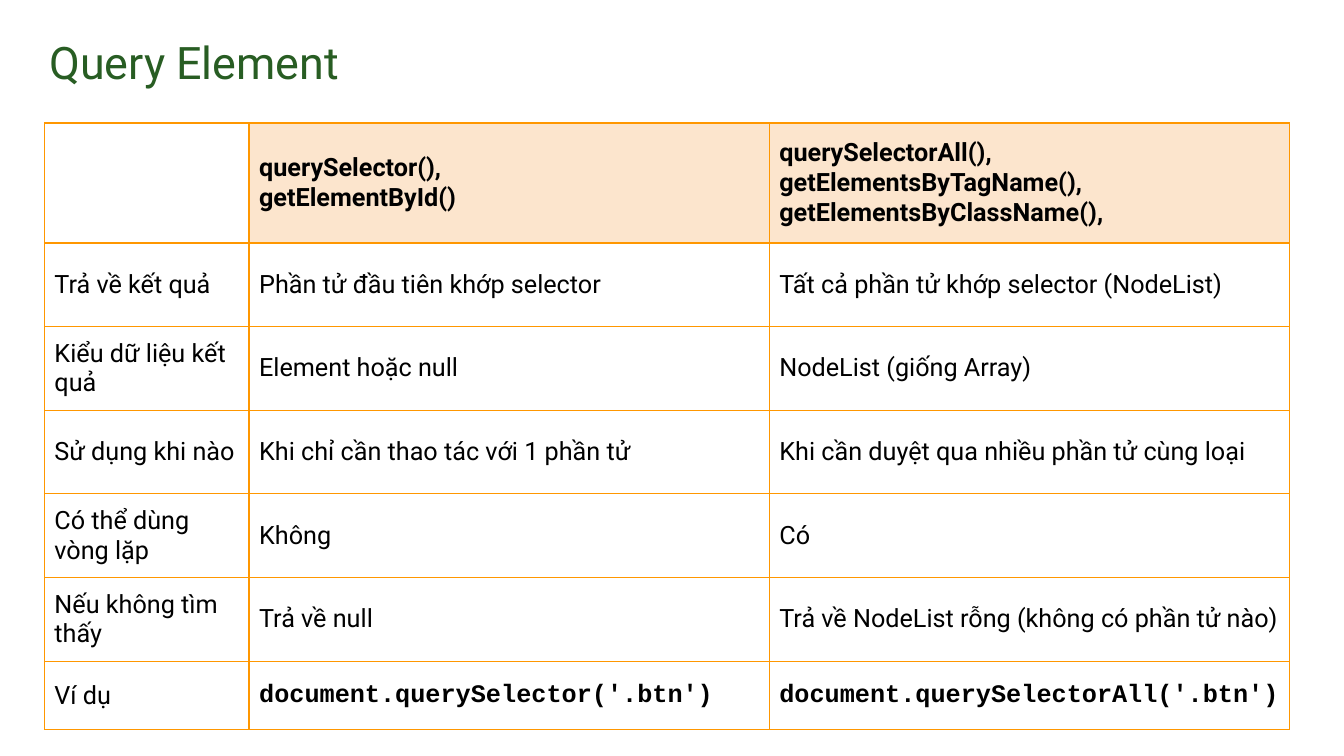
from dataclasses import dataclass

from lxml.etree import SubElement
from pptx import Presentation
from pptx.dml.color import RGBColor
from pptx.enum.text import MSO_ANCHOR, PP_ALIGN
from pptx.oxml.ns import qn
from pptx.slide import Slide
from pptx.table import _Cell
from pptx.text.text import TextFrame
from pptx.util import Inches, Pt

COLORS = {
    "title": "285D23",
    "text": "000000",
    "header": "FCE5CD",
    "blank": "FFFFFF",
    "border": "FF9700",
}
BODY_FONT = "Roboto"
CODE_FONT = "Courier New"
LEFT, TABLE_TOP = 0.44, 1.22
COLUMNS = [2.03, 5.16, 5.16]


@dataclass(frozen=True)
class Row:
    cells: tuple[str, str, str]
    height: float = 0.83
    font: str = BODY_FONT
    bold: bool = False
    fill: str = "blank"


ROWS = [
    Row(("", "querySelector(),\ngetElementById()",
         "querySelectorAll(),\ngetElementsByTagName(),\ngetElementsByClassName(),"),
        height=1.19, bold=True, fill="header"),
    Row(("Trả về kết quả", "Phần tử đầu tiên khớp selector",
         "Tất cả phần tử khớp selector (NodeList)")),
    Row(("Kiểu dữ liệu kết quả", "Element hoặc null", "NodeList (giống Array)")),
    Row(("Sử dụng khi nào", "Khi chỉ cần thao tác với 1 phần tử",
         "Khi cần duyệt qua nhiều phần tử cùng loại")),
    Row(("Có thể dùng vòng lặp", "Không", "Có")),
    Row(("Nếu không tìm thấy", "Trả về null",
         "Trả về NodeList rỗng (không có phần tử nào)")),
    Row(("Ví dụ", "document.querySelector('.btn')",
         "document.querySelectorAll('.btn')"),
        height=0.68, font=CODE_FONT, bold=True),
]


def rgb(name: str) -> RGBColor:
    return RGBColor.from_string(COLORS[name])


def format_runs(tf: TextFrame, size: int, color: str, font: str, bold: bool) -> None:
    for p in tf.paragraphs:
        for r in p.runs:
            r.font.size = Pt(size)
            r.font.name = font
            r.font.bold = bold
            r.font.color.rgb = rgb(color)


def add_borders(cell: _Cell) -> None:
    tc_pr = cell._tc.get_or_add_tcPr()
    for i, side in enumerate(("lnL", "lnR", "lnT", "lnB")):
        ln = tc_pr.makeelement(qn(f"a:{side}"), {"w": str(Pt(1))})
        fill = SubElement(ln, qn("a:solidFill"))
        SubElement(fill, qn("a:srgbClr"), val=COLORS["border"])
        tc_pr.insert(i, ln)


def add_title(s: Slide, text: str) -> None:
    sp = s.shapes.title
    sp.left, sp.top = Inches(LEFT), Inches(0.28)
    sp.width, sp.height = Inches(12), Inches(0.67)
    tf = sp.text_frame
    tf.text = text
    tf.vertical_anchor = MSO_ANCHOR.MIDDLE
    tf.margin_left = tf.margin_right = Inches(0.05)
    tf.margin_top = tf.margin_bottom = Inches(0.05)
    tf.paragraphs[0].alignment = PP_ALIGN.LEFT
    format_runs(tf, 32, "title", BODY_FONT, False)


def add_comparison(s: Slide) -> None:
    table = s.shapes.add_table(
        len(ROWS), len(COLUMNS), Inches(LEFT), Inches(TABLE_TOP),
        Inches(sum(COLUMNS)), Inches(sum(row.height for row in ROWS)),
    ).table
    table.first_row = table.horz_banding = False
    for column, width in zip(table.columns, COLUMNS):
        column.width = Inches(width)
    for i, row in enumerate(ROWS):
        table.rows[i].height = Inches(row.height)
        for j, text in enumerate(row.cells):
            is_label = j == 0
            cell = table.cell(i, j)
            cell.text_frame.text = text
            cell.vertical_anchor = MSO_ANCHOR.MIDDLE
            cell.fill.solid()
            cell.fill.fore_color.rgb = rgb("blank" if is_label else row.fill)
            format_runs(cell.text_frame, 18, "text",
                        BODY_FONT if is_label else row.font,
                        row.bold and not is_label)
            add_borders(cell)


def main() -> None:
    prs = Presentation()
    prs.slide_width, prs.slide_height = Inches(13.33), Inches(7.5)
    s = prs.slides.add_slide(prs.slide_layouts[5])
    add_title(s, "Query Element")
    add_comparison(s)
    prs.save("out.pptx")


if __name__ == "__main__":
    main()
